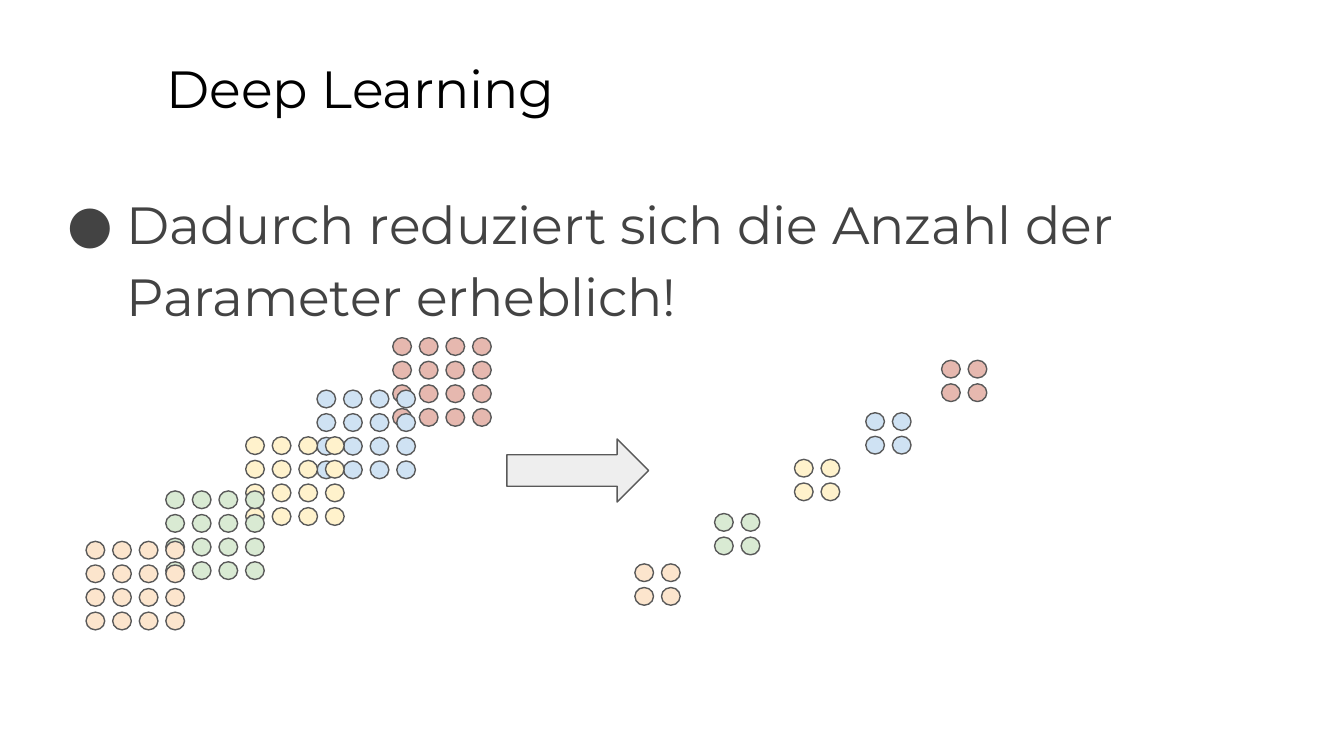
import itertools

import lxml.etree
import pptx
import pptx.dml.color
import pptx.enum.shapes
import pptx.enum.text
import pptx.oxml.ns
import pptx.util

Pt = pptx.util.Pt
SHAPE = pptx.enum.shapes.MSO_SHAPE

FONT = "Montserrat"
OUTLINE = "595959"
BODY_COLOR = "434343"
DOT_W, DOT_H = 10, 9.5
PITCH_X, PITCH_Y = 14.25, 12.65
# Left, top and colour of each full layer, from back to front
LAYERS = [
    (210.4, 180.9, "E6B8AF"),
    (169.8, 209, "CFE2F3"),
    (131.6, 234, "FFF2CC"),
    (88.8, 263, "D9EAD3"),
    (46.1, 290, "FCE5CD"),
]
REDUCED_DX, REDUCED_DY = 294, 12.1

FRAME_FORMAT = {
    "margin_left": Pt(7.2),
    "margin_top": Pt(7.2),
    "margin_right": Pt(7.2),
    "margin_bottom": Pt(7.2),
    "word_wrap": True,
    "auto_size": pptx.enum.text.MSO_AUTO_SIZE.NONE,
    "vertical_anchor": pptx.enum.text.MSO_ANCHOR.TOP,
}


def rgb(color):
    return pptx.dml.color.RGBColor.from_string(color)


def set_format(target, values):
    for name, value in values.items():
        setattr(target, name, value)


def place(sp, left, top, width, height):
    set_format(sp, {"left": Pt(left), "top": Pt(top),
                    "width": Pt(width), "height": Pt(height)})


def fill_placeholder(sp, text, color, line_spacing):
    """Write one left-aligned paragraph and return it."""
    tf = sp.text_frame
    set_format(tf, FRAME_FORMAT)
    p = tf.paragraphs[0]
    set_format(p, {"alignment": pptx.enum.text.PP_ALIGN.LEFT,
                   "line_spacing": line_spacing, "space_before": Pt(0)})
    r = p.add_run()
    r.text = text
    set_format(r.font, {"name": FONT, "size": Pt(28)})
    r.font.color.rgb = rgb(color)
    return p


def add_bullet(p, char, color, margin, indent):
    pPr = p._p.get_or_add_pPr()
    pPr.set("marL", str(Pt(margin)))
    pPr.set("indent", str(Pt(indent)))
    qn = pptx.oxml.ns.qn
    clr = lxml.etree.SubElement(pPr, qn("a:buClr"))
    lxml.etree.SubElement(clr, qn("a:srgbClr"), val=color)
    lxml.etree.SubElement(pPr, qn("a:buFont"), typeface=FONT)
    lxml.etree.SubElement(pPr, qn("a:buChar"), char=char)


def add_outlined(slide, kind, box, color):
    sp = slide.shapes.add_shape(kind, *(Pt(v) for v in box))
    sp.shadow.inherit = False
    sp.fill.solid()
    sp.fill.fore_color.rgb = rgb(color)
    sp.line.color.rgb = rgb(OUTLINE)
    sp.line.width = Pt(0.75)


def add_dot_grid(slide, left, top, count, color):
    for row, col in itertools.product(range(count), repeat=2):
        box = (left + col * PITCH_X, top + row * PITCH_Y, DOT_W, DOT_H)
        add_outlined(slide, SHAPE.OVAL, box, color)


def main():
    prs = pptx.Presentation()
    prs.slide_width, prs.slide_height = Pt(720), Pt(405)
    slide = prs.slides.add_slide(prs.slide_layouts[1])

    title, body = slide.placeholders
    place(title, 82.1, 23, 613.4, 45.4)
    fill_placeholder(title, "Deep Learning", "000000", 1.0)
    place(body, 24.5, 90.7, 685.4, 82.1)
    p = fill_placeholder(
        body, "Dadurch reduziert sich die Anzahl der Parameter erheblich!",
        BODY_COLOR, 1.15)
    add_bullet(p, "●", BODY_COLOR, 36, -31.7)

    for left, top, color in LAYERS:
        add_dot_grid(slide, left, top, 4, color)
    for left, top, color in LAYERS:
        add_dot_grid(slide, left + REDUCED_DX, top + REDUCED_DY, 2, color)
    add_outlined(slide, SHAPE.RIGHT_ARROW, (271.6, 235.2, 75.9, 33.8), "EEEEEE")

    prs.save("out.pptx")


if __name__ == "__main__":
    main()
